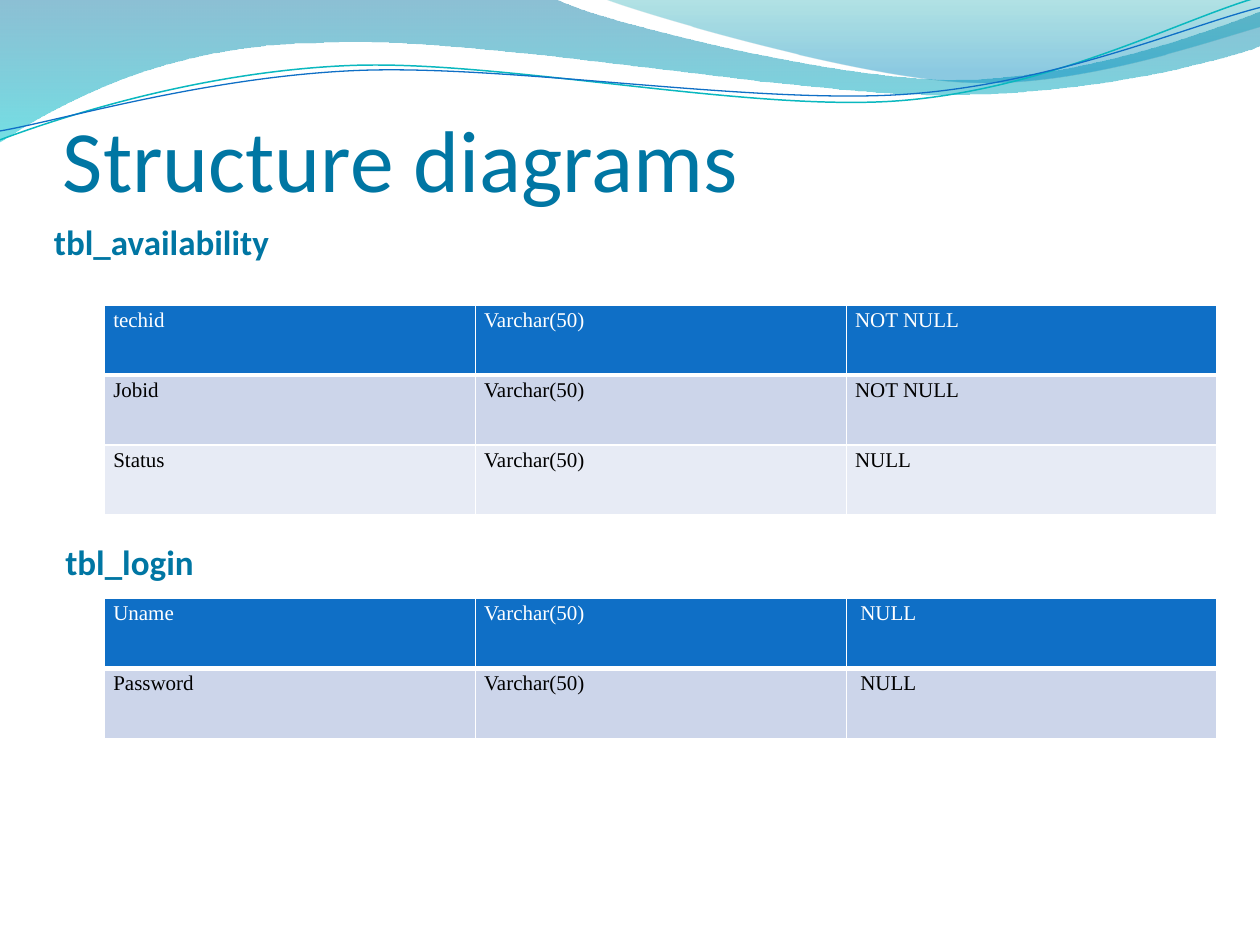
from dataclasses import dataclass
from math import cos, radians, sin

from lxml.etree import SubElement
from pptx import Presentation
from pptx.dml.color import RGBColor
from pptx.enum.text import MSO_ANCHOR
from pptx.oxml.ns import qn
from pptx.util import Inches, Pt


@dataclass(frozen=True)
class Theme:
    head: str = "Calibri"
    body: str = "Times New Roman"
    title: float = 50
    label: float = 20
    cell: float = 12
    ink: str = "0076A3"
    black: str = "000000"
    white: str = "FFFFFF"
    blue: str = "0F6FC6"
    teal: str = "0AB8BF"
    bands: tuple = ("CCD5EA", "E7EBF5")
    # Gradient stops: position, colour, opacity in percent
    deep: tuple = ((0, "0074A1", 45), (1, "00C6CF", 55))
    pale: tuple = ((0, "00A1A9", 30), (0.8, "008BBF", 45))


def rgb(code):
    return RGBColor.from_string(code)


def write(frame, text, font, size, color, bold=False, space=None):
    para = frame.paragraphs[0]
    para.line_spacing = space
    run = para.add_run()
    run.text = text
    run.font.name = font
    run.font.size = Pt(size)
    run.font.bold = bold
    run.font.color.rgb = rgb(color)


def pairs(part):
    return list(zip(part[::2], part[1::2]))


def turn(part, mid, angle):
    """Rotate each point of a part clockwise around mid."""
    c, s = cos(radians(angle)), sin(radians(angle))
    flat = []
    for x, y in pairs(part):
        dx, dy = x - mid[0], y - mid[1]
        flat += [mid[0] + dx * c - dy * s, mid[1] + dx * s + dy * c]
    return flat


def bend(shape, parts):
    """Merge the three segments of each 6-number part into one cubic curve."""
    lines = list(shape.element.iter(qn("a:lnTo")))
    for part in parts:
        count = len(part) // 2
        group, lines = lines[:count], lines[count:]
        if count == 3:
            curve = SubElement(group[0].getparent(), qn("a:cubicBezTo"))
            group[0].addprevious(curve)
            for line in group:
                curve.append(line[0])
                line.getparent().remove(line)


class Deck:
    def __init__(self, slide, theme):
        self.slide = slide
        self.theme = theme

    def shape(self, start, parts, close):
        """Draw lines (2 numbers) and cubic curves (6 numbers) from start."""
        spots = [tuple(map(Inches, spot)) for part in (start, *parts)
                 for spot in pairs(part)]
        path = self.slide.shapes.build_freeform(*spots[0])
        path.add_line_segments(spots[1:], close=close)
        shape = path.convert_to_shape()
        shape.shadow.inherit = False
        bend(shape, parts)
        return shape

    def wave(self, stops, start, *parts):
        shape = self.shape(start, (*parts, start), True)
        shape.line.fill.background()
        fill = shape.fill
        fill.gradient()
        fill.gradient_angle = 270
        for stop, (spot, color, _) in zip(fill.gradient_stops, stops):
            stop.position = spot
            stop.color.rgb = rgb(color)
        tints = shape.element.spPr.iter(qn("a:srgbClr"))
        for tint, (_, _, alpha) in zip(tints, stops):
            SubElement(tint, qn("a:alpha"), val=str(alpha * 1000))

    def curve(self, color, width, mid, start, *parts, tilt=-2.7):
        start, *parts = [turn(part, mid, -tilt) for part in (start, *parts)]
        shape = self.shape(start, parts, False)
        shape.rotation = tilt
        shape.fill.background()
        shape.line.color.rgb = rgb(color)
        shape.line.width = Pt(width)

    def text(self, text, box, size, anchor, inset=None, bold=False):
        frame = self.slide.shapes.add_textbox(*map(Inches, box)).text_frame
        frame.word_wrap = True
        frame.vertical_anchor = anchor
        if inset is not None:
            frame.margin_left = frame.margin_right = Inches(inset)
            frame.margin_bottom = Inches(inset)
        write(frame, text, self.theme.head, size, self.theme.ink, bold)

    def label(self, text, box):
        self.text(text, box, self.theme.label, MSO_ANCHOR.MIDDLE, bold=True)

    def border(self, cell, base):
        props = cell._tc.get_or_add_tcPr()
        for side, width in zip("LRTB", (1, 1, 1, base)):
            line = SubElement(props, qn(f"a:ln{side}"), w=str(Pt(width)))
            fill = SubElement(line, qn("a:solidFill"))
            SubElement(fill, qn("a:srgbClr"), val=self.theme.white)

    def table(self, rows, box):
        theme = self.theme
        size = map(Inches, box)
        table = self.slide.shapes.add_table(len(rows), len(rows[0]), *size).table
        table.horz_banding = False
        for r, row in enumerate(rows):
            back = theme.bands[(r - 1) % 2] if r else theme.blue
            color = theme.black if r else theme.white
            for c, text in enumerate(row):
                cell = table.cell(r, c)
                cell.margin_left = cell.margin_right = Inches(0.07)
                cell.margin_top = cell.margin_bottom = 0
                self.border(cell, 1 if r else 3)
                cell.fill.solid()
                cell.fill.fore_color.rgb = rgb(back)
                write(cell.text_frame, text, theme.body, theme.cell, color,
                      space=1.15)


def main():
    prs = Presentation()
    prs.slide_width, prs.slide_height = Inches(10), Inches(7.5)
    theme = Theme()
    deck = Deck(prs.slides.add_slide(prs.slide_layouts[6]), theme)

    deck.wave(theme.deep, (0, -0.01), (4.4, -0.01),
              (4.76, 0.17, 6.64, 0.63, 7.58, 0.63),
              (8.53, 0.63, 9.58, 0.26, 10, 0.09), (10.01, 0.36),
              (9.83, 0.44, 8.7, 0.76, 7.46, 0.75),
              (6.22, 0.75, 3.82, 0.28, 2.57, 0.34),
              (1.29, 0.35, 0.46, 0.83, -0.01, 1.13))
    deck.wave(theme.pale, (4.79, -0.01),
              (5.09, 0.11, 6.82, 0.62, 7.69, 0.65),
              (8.56, 0.69, 9.61, 0.32, 10, 0.21), (10, 0))
    deck.curve(theme.teal, 0.85, (4.99, 0.58), (0, 1.11),
               (0.48, 0.93, 1.58, 0.57, 2.77, 0.52),
               (3.95, 0.47, 5.93, 0.89, 7.13, 0.8),
               (8.33, 0.71, 9.38, 0.15, 9.98, -0.02))
    deck.curve(theme.blue, 0.75, (5, 0.59), (0, 1.04),
               (0.47, 0.96, 1.64, 0.61, 2.83, 0.56),
               (4.03, 0.51, 5.97, 0.83, 7.17, 0.75),
               (8.36, 0.67, 9.41, 0.21, 10, 0.06))

    kind = "Varchar(50)"
    deck.table([("techid", kind, "NOT NULL"),
                ("Jobid", kind, "NOT NULL"),
                ("Status", kind, "NULL")], (0.83, 2.42, 8.83, 1.67))
    deck.text("Structure diagrams", (0.5, 0.77, 9, 0.9), theme.title,
              MSO_ANCHOR.BOTTOM, inset=0)
    deck.label("tbl_availability", (0.33, 1.5, 9, 0.83))
    deck.label("tbl_login", (0.42, 4.08, 9, 0.75))
    deck.table([("Uname", kind, " NULL"),
                ("Password", kind, " NULL")], (0.83, 4.75, 8.83, 1.11))
    prs.save("out.pptx")


if __name__ == "__main__":
    main()
